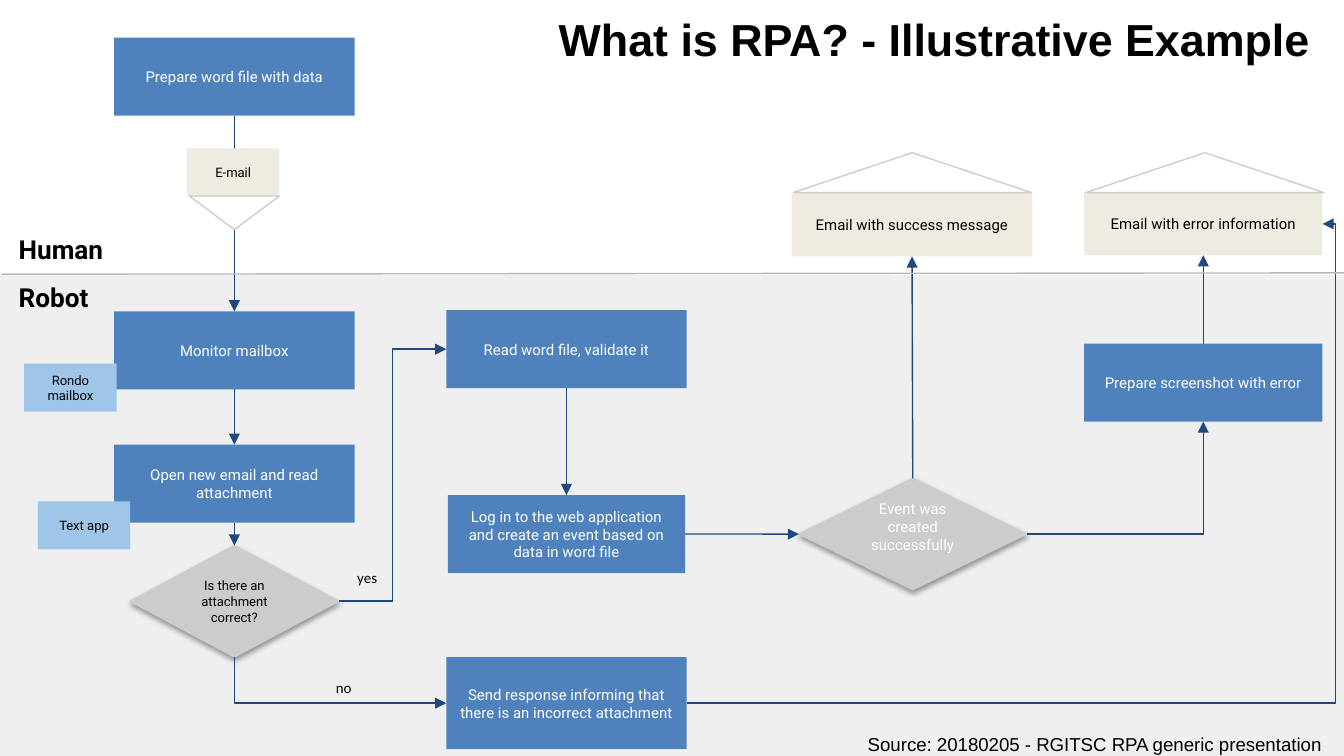
import pptx
import pptx.dml.color
import pptx.enum.shapes
import pptx.enum.text
import pptx.oxml
import pptx.oxml.ns
import pptx.util

Pt = pptx.util.Pt
SHAPE = pptx.enum.shapes.MSO_SHAPE
CONNECTOR = pptx.enum.shapes.MSO_CONNECTOR
ANCHOR = pptx.enum.text.MSO_ANCHOR
ALIGN = pptx.enum.text.PP_ALIGN
NS = pptx.oxml.ns.nsdecls("a")

COLORS = {
    "step": "4F81BD", "system": "9FC5E8", "mail": "EEECE1", "decision": "CCCCCC",
    "robot": "EFEFEF", "arrow": "1F497D", "divider": "B7B7B7",
    "white": "FFFFFF", "black": "000000",
}
RGB = {name: pptx.dml.color.RGBColor.from_string(value) for name, value in COLORS.items()}

presentation = pptx.Presentation()
presentation.slide_width, presentation.slide_height = Pt(720), Pt(405)
slide = presentation.slides.add_slide(presentation.slide_layouts[6])


def add_block(kind, area, fill, outline=None):
    block = slide.shapes.add_shape(kind, *(Pt(value) for value in area))
    block.shadow.inherit = False
    block.fill.solid()
    block.fill.fore_color.rgb = RGB[fill]
    if outline:
        block.line.color.rgb = RGB[outline]
        block.line.width = Pt(0.75)
    else:
        block.line.fill.background()
    return block


def write(holder, text, size, color="black", font="Roboto", bold=False,
          align=ALIGN.CENTER, anchor=ANCHOR.MIDDLE, insets=(7.2, 3.6, 7.2, 3.6)):
    frame = holder.text_frame
    left, top, right, bottom = (Pt(value) for value in insets)
    frame_format = {
        "word_wrap": True, "vertical_anchor": anchor,
        "margin_left": left, "margin_top": top,
        "margin_right": right, "margin_bottom": bottom,
    }
    for attribute, value in frame_format.items():
        setattr(frame, attribute, value)
    paragraph = frame.paragraphs[0]
    paragraph.text = text
    paragraph.alignment = align
    for attribute, value in {"name": font, "size": Pt(size), "bold": bold}.items():
        setattr(paragraph.font, attribute, value)
    paragraph.font.color.rgb = RGB[color]


add_block(SHAPE.RECTANGLE, (0, 147.4, 720, 257.6), "robot")

# Steps, systems, messages and decisions
LEFT, MIDDLE, RIGHT = 61.2, 239.1, 580.8
WIDE, TALL = 128.8, 41.8
blocks = {}
for key, area, fill, size, text in [
    ("prepare", (LEFT, 20.2, WIDE, TALL), "step", 8, "Prepare word file with data"),
    ("monitor", (LEFT, 166.8, WIDE, TALL), "step", 8, "Monitor mailbox"),
    ("open", (LEFT, 238.2, WIDE, TALL), "step", 8, "Open new email and read attachment"),
    ("read", (MIDDLE, 166.2, WIDE, TALL), "step", 8, "Read word file, validate it"),
    ("log in", (MIDDLE + 0.8, 265.2, 127.2, TALL), "step", 8,
     "Log in to the web application and create an event based on data in word file"),
    ("respond", (MIDDLE, 352, WIDE, 49.4), "step", 8,
     "Send response informing that there is an incorrect attachment"),
    ("screenshot", (RIGHT, 184.1, 127.7, TALL), "step", 8, "Prepare screenshot with error"),
    ("mailbox", (13, 194.8, 49.5, 25.8), "system", 7, "Rondo mailbox"),
    ("editor", (20.3, 268.6, 49.5, 25.8), "system", 7, "Text app"),
    ("success", (424.2, 103.4, WIDE, 34), "mail", 8, "Email with success message"),
    ("error", (RIGHT, 103, 127.7, 33.8), "mail", 8, "Email with error information"),
    ("correct", (69.7, 292.3, 111.8, 59.7), "decision", 7, "Is there an attachment correct?"),
    ("created", (428, 256.3, 122, 59.7), "decision", 8, "Event was created successfully"),
]:
    decision = fill == "decision"
    block = add_block(SHAPE.DIAMOND if decision else SHAPE.RECTANGLE, area, fill,
                      "decision" if decision else None)
    color = "white" if fill == "step" or key == "created" else "black"
    bottom = 12 if key == "created" else 3.6
    write(block, text, size, color, insets=(7.2, 3.6, 7.2, bottom))
    if decision:
        effects = block._element.spPr.find(pptx.oxml.ns.qn("a:effectLst"))
        effects.append(pptx.oxml.parse_xml(
            f'<a:outerShdw {NS} blurRad="39400" dist="20300" dir="5400000" rotWithShape="0">'
            f'<a:srgbClr val="{COLORS["black"]}"><a:alpha val="38000"/></a:srgbClr>'
            '</a:outerShdw>'))
    blocks[key] = block

for left, top in [(424.8, 81.8), (581.6, 81.8)]:
    flap = add_block(SHAPE.FLOWCHART_MERGE, (left, top, 127.8, 21.4), "white", "decision")
    flap.rotation = 180

# Straight arrows join connection sites
TOP, LEFT_SIDE, BOTTOM, RIGHT_SIDE = range(4)
arrows = []
for start, start_site, end, end_site in [
    ("prepare", BOTTOM, "monitor", TOP),
    ("monitor", BOTTOM, "open", TOP),
    ("open", BOTTOM, "correct", TOP),
    ("read", BOTTOM, "log in", TOP),
    ("log in", RIGHT_SIDE, "created", LEFT_SIDE),
    ("created", TOP, "success", BOTTOM),
    ("screenshot", TOP, "error", BOTTOM),
]:
    arrow = slide.shapes.add_connector(CONNECTOR.STRAIGHT, 0, 0, 0, 0)
    arrow.begin_connect(blocks[start], start_site)
    arrow.end_connect(blocks[end], end_site)
    arrows.append(arrow)

# Elbow arrows: the turn is a share of the width
for *ends, turn in [
    (181.5, 322.1, 239.1, 187.1, 0.5),
    (125.6, 352, 239.1, 376.7, 0),
    (550, 286.1, 644.6, 225.9, 1),
    (367.9, 376.7, 708.5, 120, 1.02),
]:
    arrow = slide.shapes.add_connector(CONNECTOR.ELBOW, *(Pt(value) for value in ends))
    guides = arrow._element.spPr.prstGeom.get_or_add_avLst()
    guides.append(pptx.oxml.parse_xml(
        f'<a:gd {NS} name="adj1" fmla="val {round(turn * 100000)}"/>'))
    arrows.append(arrow)

divider = slide.shapes.add_connector(CONNECTOR.STRAIGHT, Pt(0.7), Pt(146.9), Pt(720), Pt(146.2))
for connector in [*arrows, divider]:
    connector.line.color.rgb = RGB["divider" if connector is divider else "arrow"]
    connector.line.width = Pt(0.75)
    if connector is not divider:
        connector.line._get_or_add_ln().append(
            pptx.oxml.parse_xml(f'<a:tailEnd {NS} type="triangle"/>'))
    connector._element.spPr.append(pptx.oxml.parse_xml(f"<a:effectLst {NS}/>"))

# The incoming e-mail lies over its arrow
email = add_block(SHAPE.RECTANGLE, (100.2, 79.5, 49.5, 25.8), "mail")
write(email, "E-mail", 7)
add_block(SHAPE.FLOWCHART_MERGE, (101.5, 105, 48.2, 18), "white", "decision")

# Labels and headings
EVEN = (7.2, 7.2, 7.2, 7.2)
for text, area, text_format in [
    ("yes", (184.3, 301, 38.2, 13), {"size": 8, "font": "Calibri"}),
    ("no", (172.8, 360, 49.7, 13), {"size": 8, "font": "Calibri"}),
    ("Human", (2.9, 118, 70, 33.8), {"size": 14, "bold": True, "insets": EVEN}),
    ("Robot", (2.9, 143.6, 70, 33.8), {"size": 14, "bold": True, "insets": EVEN}),
    ("Source: 20180205 - RGITSC RPA generic presentation", (457.8, 386.5, 262.2, 18.5),
     {"size": 10, "font": "Arial", "insets": EVEN}),
    ("What is RPA? - Illustrative Example", (299.3, 6.5, 420.7, 27.4),
     {"size": 24, "font": "Arial", "bold": True, "insets": (0, 0, 0, 0)}),
]:
    label = slide.shapes.add_textbox(*(Pt(value) for value in area))
    write(label, text, align=ALIGN.LEFT, anchor=ANCHOR.TOP, **text_format)

presentation.save("out.pptx")
